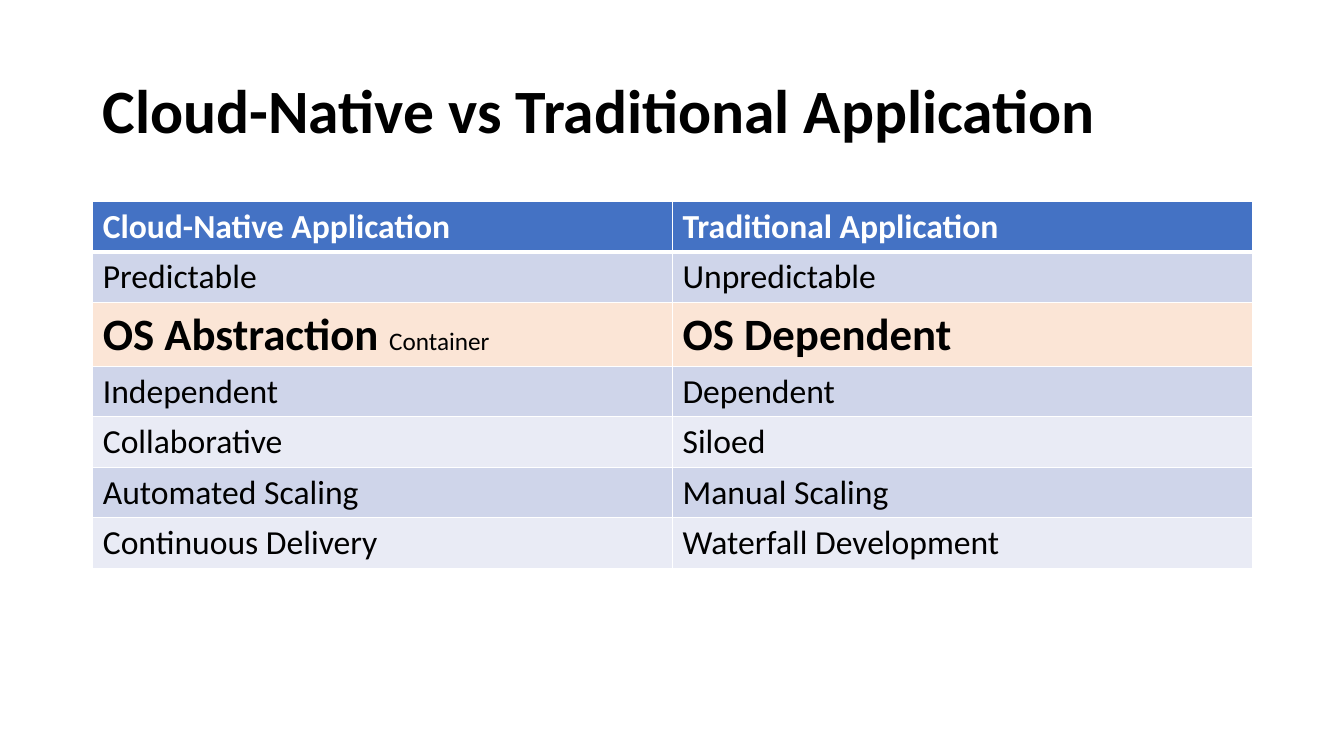
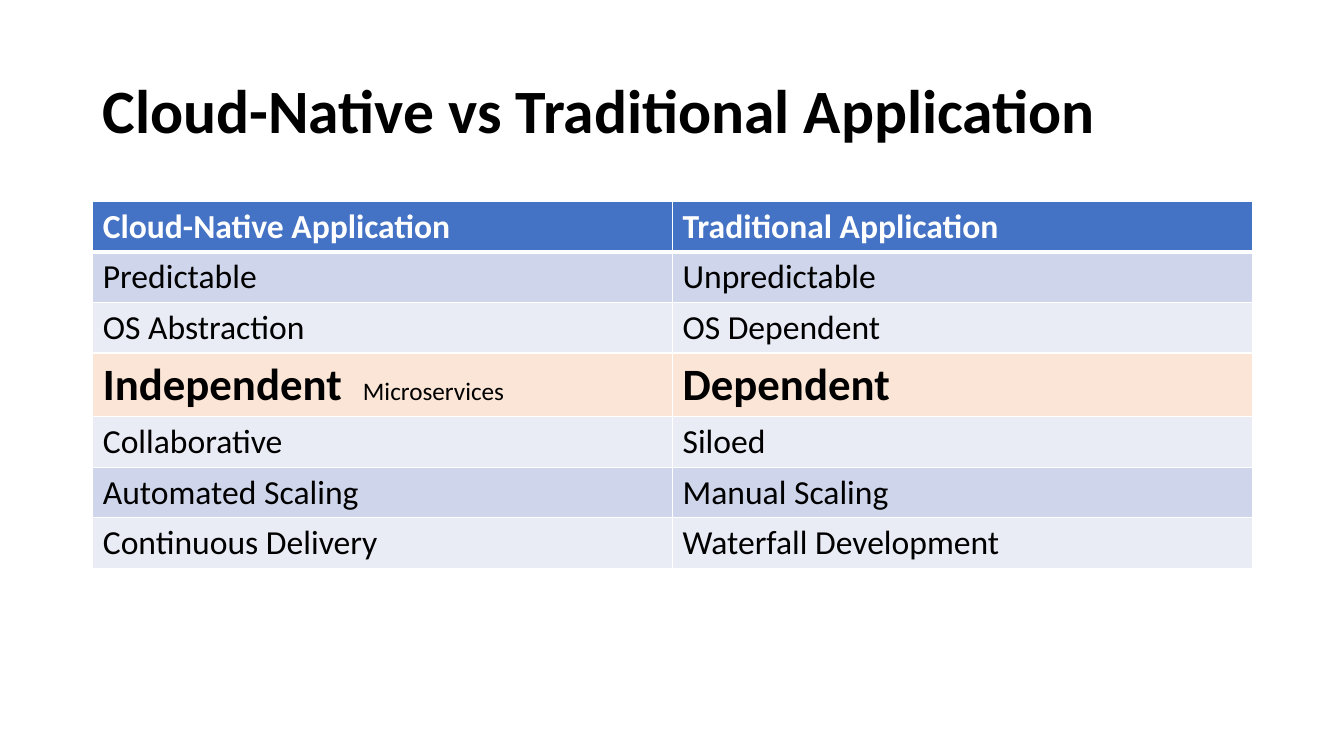
from lxml.etree import SubElement
from pptx import Presentation
from pptx.dml.color import RGBColor
from pptx.enum.text import MSO_ANCHOR
from pptx.oxml.ns import qn
from pptx.util import Inches, Pt

COLORS = {
    "text": "000000",
    "white": "FFFFFF",
    "header": "4472C4",
    "band_dark": "CFD5EA",
    "band_light": "E9EBF5",
    "highlight": "FBE5D6",
}
FONT = "Calibri"
TITLE = "Cloud-Native vs Traditional Application"
TITLE_BOX = (0.92, 0.4, 11.5, 1.45)
TABLE_BOX = (0.92, 2, 11.5, 3.63)
HIGHLIGHT_HEIGHT = 0.63
STYLES = {
    "title": {"size": Pt(44), "bold": True, "color": "text"},
    "header": {"size": Pt(24), "bold": True, "color": "white"},
    "body": {"size": Pt(24), "bold": False, "color": "text"},
    "highlight": {"size": Pt(32), "bold": True, "color": "text"},
    "note": {"size": Pt(18), "bold": False, "color": "text"},
}
ROWS = [
    ("Cloud-Native Application", "Traditional Application"),
    ("Predictable", "Unpredictable"),
    ("OS Abstraction", "OS Dependent"),
    ("Independent", "Dependent"),
    ("Collaborative", "Siloed"),
    ("Automated Scaling", "Manual Scaling"),
    ("Continuous Delivery", "Waterfall Development"),
]
SLIDES = [
    {"row": 2, "note": "Container", "note_left": 2.84},
    {"row": 3, "note": "Microservices", "note_left": 2.58},
]


def add_span(para, text, style):
    """Add a run of text in one of the shared styles."""
    span = para.add_run()
    span.text = text
    formats = dict(STYLES[style], name=FONT)
    span.font.color.rgb = RGBColor.from_string(COLORS[formats.pop("color")])
    for name, value in formats.items():
        setattr(span.font, name, value)


def add_title(page, box):
    """Place the bold title, centred vertically in its box."""
    frame = page.shapes.add_textbox(*map(Inches, box)).text_frame
    frame.word_wrap = True
    frame.vertical_anchor = MSO_ANCHOR.MIDDLE
    para = frame.paragraphs[0]
    para.line_spacing = 0.9
    add_span(para, TITLE, "title")


def add_note(para, text, left):
    """Append a small note that starts at a tab stop."""
    stops = SubElement(para._p.get_or_add_pPr(), qn("a:tabLst"))
    SubElement(stops, qn("a:tab"), pos=str(Inches(left)), algn="l")
    add_span(para, "\t" + text, "note")


def set_borders(cell, bottom):
    """Draw white cell borders with the given bottom width in points."""
    properties = cell._tc.get_or_add_tcPr()
    for side, width in {"L": 1, "R": 1, "T": 1, "B": bottom}.items():
        line = SubElement(properties, qn(f"a:ln{side}"), w=str(Pt(width)))
        fill = SubElement(line, qn("a:solidFill"))
        SubElement(fill, qn("a:srgbClr"), val=COLORS["white"])


def row_look(index, highlight):
    """Return the text style and fill colour of a table row."""
    if index == 0:
        return "header", "header"
    if index == highlight:
        return "highlight", "highlight"
    return "body", "band_dark" if index % 2 else "band_light"


def add_comparison(page, box, highlight):
    """Place the comparison table with one row emphasised."""
    table = page.shapes.add_table(len(ROWS), len(ROWS[0]), *map(Inches, box)).table
    plain_height = (box[3] - HIGHLIGHT_HEIGHT) / (len(ROWS) - 1)
    for index, texts in enumerate(ROWS):
        emphasised = index == highlight["row"]
        table.rows[index].height = Inches(HIGHLIGHT_HEIGHT if emphasised else plain_height)
        style, fill = row_look(index, highlight["row"])
        for column, text in enumerate(texts):
            cell = table.cell(index, column)
            set_borders(cell, 3 if index == 0 else 1)
            cell.fill.solid()
            cell.fill.fore_color.rgb = RGBColor.from_string(COLORS[fill])
            para = cell.text_frame.paragraphs[0]
            add_span(para, text, style)
            if emphasised and column == 0:
                add_note(para, highlight["note"], highlight["note_left"])


def main():
    """Build and save the deck."""
    deck = Presentation()
    deck.slide_width, deck.slide_height = Inches(13.33), Inches(7.5)
    for highlight in SLIDES:
        page = deck.slides.add_slide(deck.slide_layouts[6])
        add_title(page, TITLE_BOX)
        add_comparison(page, TABLE_BOX, highlight)
    deck.save("out.pptx")


if __name__ == "__main__":
    main()
